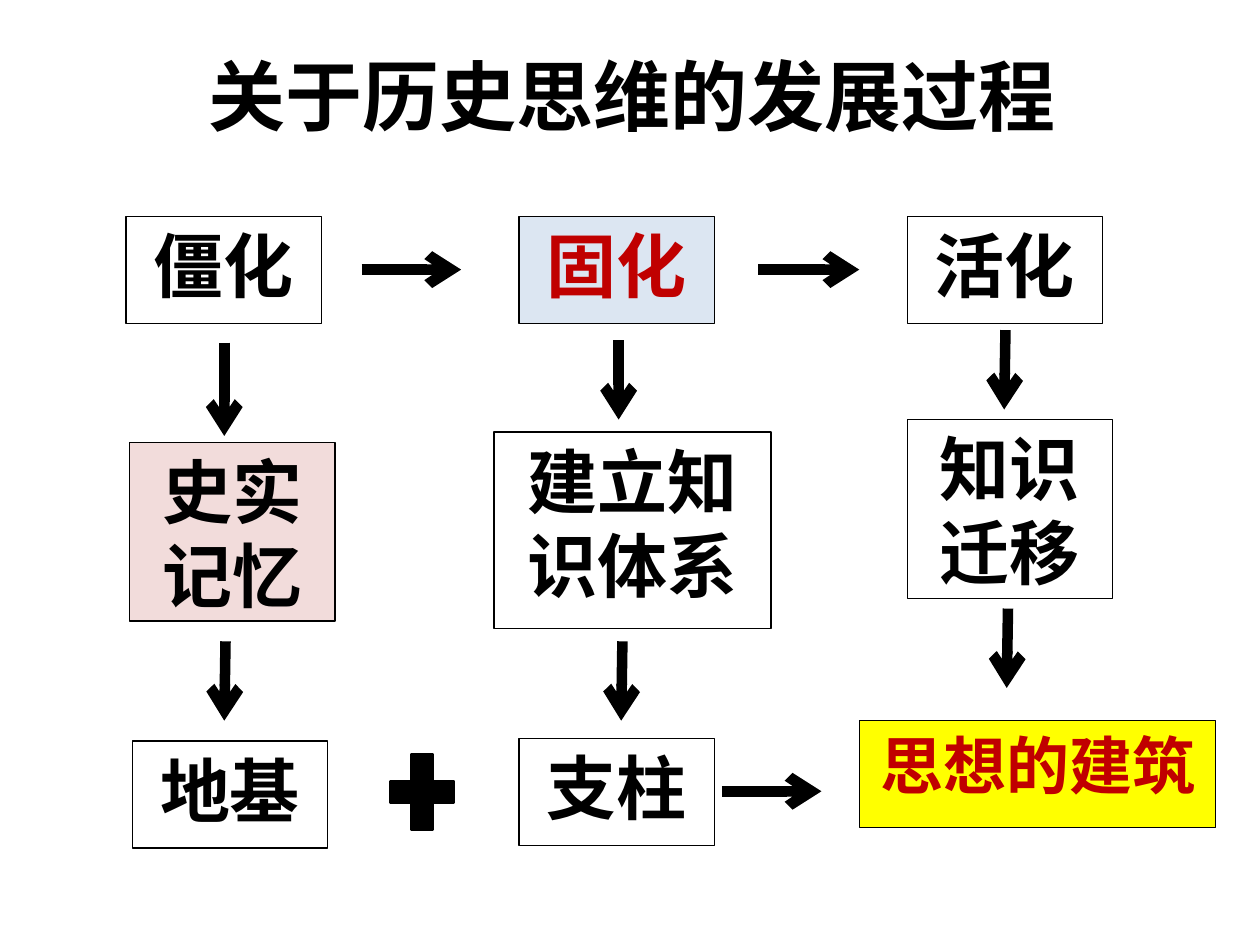
from lxml import etree
from pptx import Presentation
from pptx.dml.color import RGBColor
from pptx.enum.shapes import MSO_CONNECTOR, MSO_SHAPE
from pptx.enum.text import MSO_ANCHOR, PP_ALIGN
from pptx.oxml.ns import qn
from pptx.util import Inches, Pt

LINE = MSO_CONNECTOR.STRAIGHT
RECT, PLUS = MSO_SHAPE.RECTANGLE, MSO_SHAPE.MATH_PLUS
TOP, MIDDLE = MSO_ANCHOR.TOP, MSO_ANCHOR.MIDDLE
CENTER = PP_ALIGN.CENTER
FONT = "Noto Sans CJK SC"
HUES = {"black": "000000", "red": "C00000", "blue": "DCE6F2",
        "pink": "F2DCDB", "yellow": "FFFF00"}


def hue(name):
    return RGBColor.from_string(HUES[name])


def write(frame, text, size, ink, anchor):
    frame.word_wrap = True
    frame.vertical_anchor = anchor
    para = frame.paragraphs[0]
    para.text = text
    para.alignment = CENTER
    font = para.font
    font.name, font.size, font.bold = FONT, Pt(size), True
    font.color.rgb = hue(ink)
    for props in (font._element, para.runs[0].font._element):
        etree.SubElement(props, qn("a:ea"), typeface=FONT)


deck = Presentation()
deck.slide_width, deck.slide_height = Inches(10), Inches(7.5)
slide = deck.slides.add_slide(deck.slide_layouts[5])
shapes = slide.shapes

title = shapes.title
title.left, title.top = Inches(0.52), Inches(0.13)
title.width, title.height = Inches(9), Inches(1.25)
write(title.text_frame, "关于历史思维的发展过程", 44, "black", MIDDLE)

boxes = [
    ("僵化", 1, 1.72, 1.55, 0.85, None, "black", 40),
    ("固化", 4.12, 1.72, 1.55, 0.85, "blue", "red", 40),
    ("活化", 7.2, 1.72, 1.55, 0.85, None, "black", 40),
    ("史实记忆", 1.03, 3.51, 1.63, 1.42, "pink", "black", 40),
    ("建立知识体系", 3.92, 3.43, 2.2, 1.56, None, "black", 40),
    ("知识迁移", 7.2, 3.33, 1.63, 1.42, None, "black", 40),
    ("地基", 1.05, 5.88, 1.55, 0.85, None, "black", 40),
    ("支柱", 4.12, 5.86, 1.55, 0.85, None, "black", 40),
    ("思想的建筑", 6.82, 5.72, 2.83, 0.85, "yellow", "red", 36),
]
for text, x, y, w, h, fill, ink, size in boxes:
    box = shapes.add_shape(RECT, Inches(x), Inches(y), Inches(w), Inches(h))
    box.shadow.inherit = False
    if fill:
        box.fill.solid()
        box.fill.fore_color.rgb = hue(fill)
    else:
        box.fill.background()
    box.line.color.rgb = hue("black")
    box.line.width = Pt(0.75)
    write(box.text_frame, text, size, ink, TOP)

plus = shapes.add_shape(PLUS, Inches(3.01), Inches(5.88), Inches(0.68), Inches(0.81))
plus.shadow.inherit = False
plus.fill.solid()
plus.fill.fore_color.rgb = hue("black")
plus.line.color.rgb = hue("black")
plus.line.width = Pt(2)

arrows = [
    (2.87, 2.14, 3.66, 2.14), (6.02, 2.14, 6.82, 2.14),
    (1.78, 2.72, 1.78, 3.46), (4.91, 2.7, 4.91, 3.33), (7.98, 2.62, 7.97, 3.25),
    (1.79, 5.09, 1.78, 5.72), (4.94, 5.09, 4.93, 5.72), (8, 4.83, 7.99, 5.46),
    (5.73, 6.28, 6.52, 6.28),
]
for ends in arrows:
    arrow = shapes.add_connector(LINE, *[Inches(end) for end in ends])
    arrow.line.color.rgb = hue("black")
    arrow.line.width = Pt(6)
    etree.SubElement(arrow.line._get_or_add_ln(), qn("a:tailEnd"), type="arrow")
    etree.SubElement(arrow._element.spPr, qn("a:effectLst"))

deck.save("out.pptx")
